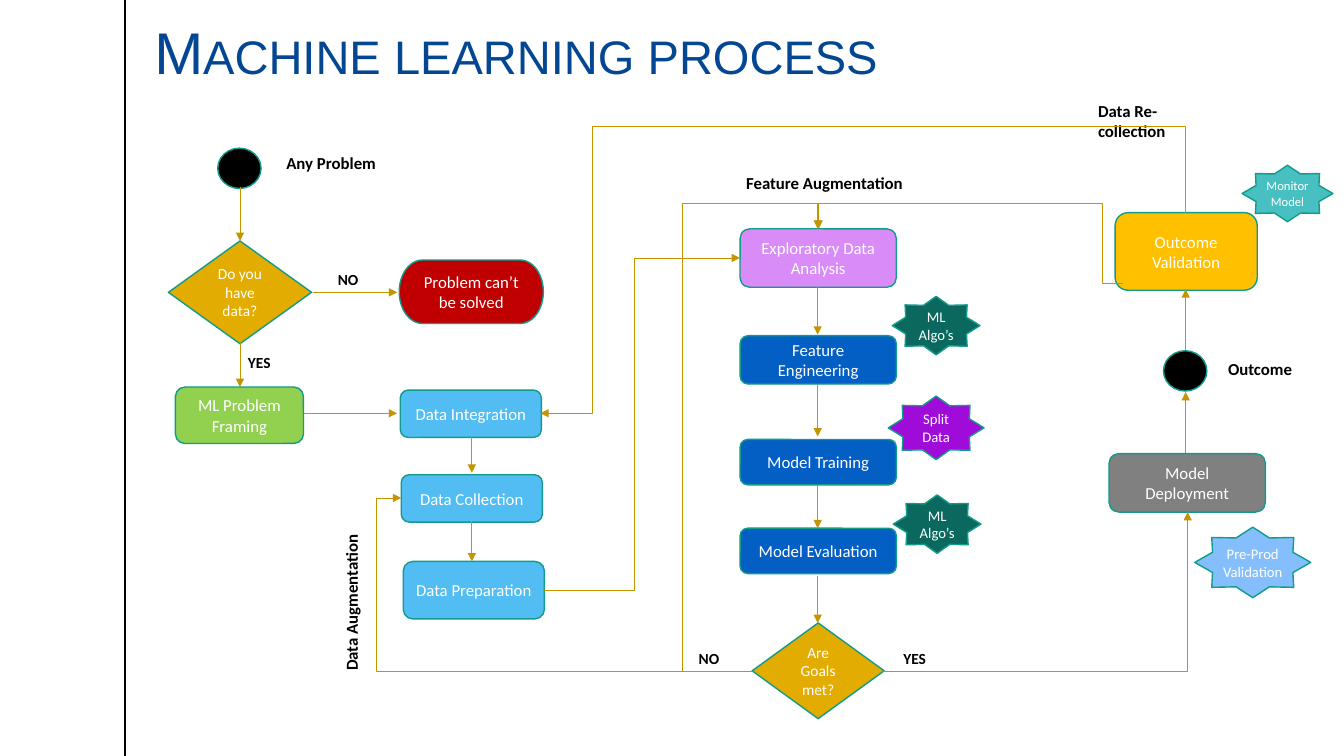
from dataclasses import dataclass

from lxml import etree
from pptx import Presentation
from pptx.dml.color import RGBColor
from pptx.enum import shapes, text
from pptx.oxml import ns
from pptx.util import Inches, Pt

KIND = shapes.MSO_SHAPE
BOX, STAR = KIND.ROUNDED_RECTANGLE, KIND.STAR_8_POINT
DECISION, DOT = KIND.FLOWCHART_DECISION, KIND.FLOWCHART_CONNECTOR


@dataclass(frozen=True)
class Theme:
    title: str = "034793"
    ink: str = "000000"
    white: str = "FFFFFF"
    outline: str = "109B8A"
    arrow: str = "C49500"
    gold: str = "E2AC00"
    red: str = "C00000"
    green: str = "92D050"
    sky: str = "51BDF3"
    blue: str = "045FC4"
    lilac: str = "D98BF8"
    grey: str = "808080"
    amber: str = "FFC000"
    teal: str = "0B685E"
    purple: str = "9F0CD9"
    pale_blue: str = "85BEFD"
    aqua: str = "48BFC1"
    heading_font: str = "Arial"
    body_font: str = "Calibri"
    title_size: float = 42
    body_size: float = 12
    small_size: float = 11
    star_size: float = 10.5
    tiny_size: float = 9


T = Theme()


def rgb(value):
    return RGBColor.from_string(value)


def add_run(p, words, size, color, font=T.body_font, bold=False):
    r = p.add_run()
    r.text = words
    r.font.size, r.font.name, r.font.bold = Pt(size), font, bold
    r.font.color.rgb = rgb(color)
    return r


def add_line(s, kind, start, end, color, width):
    line = s.shapes.add_connector(kind, *map(Inches, (*start, *end)))
    line.line.color.rgb = rgb(color)
    line.line.width = Pt(width)
    etree.SubElement(line._element.spPr, ns.qn("a:effectLst"))
    return line


def add_head(line, end="tailEnd"):
    etree.SubElement(line.line._get_or_add_ln(), ns.qn("a:" + end), type="triangle")


@dataclass
class Region:
    """Draws parts at inch offsets from the corner of its box."""
    s: object
    left: float
    top: float

    def at(self, x, y):
        return self.left + x, self.top + y

    def node(self, kind, x, y, w, h, fill, words="", size=T.body_size):
        sp = self.s.shapes.add_shape(kind, *map(Inches, (*self.at(x, y), w, h)))
        sp.shadow.inherit = False
        sp.fill.solid()
        sp.fill.fore_color.rgb = rgb(fill)
        sp.line.color.rgb = rgb(T.outline)
        sp.line.width = Pt(1)
        tf = sp.text_frame
        tf.word_wrap = True
        tf.vertical_anchor = text.MSO_ANCHOR.MIDDLE
        for i, part in enumerate(words.split("\n") if words else []):
            p = tf.add_paragraph() if i else tf.paragraphs[0]
            p.alignment = text.PP_ALIGN.CENTER
            add_run(p, part, size, T.white)

    def label(self, x, y, w, words, size=T.body_size, h=0.47, rotation=0):
        sp = self.s.shapes.add_textbox(*map(Inches, (*self.at(x, y), w, h)))
        sp.rotation = rotation
        tf = sp.text_frame
        tf.word_wrap = True
        tf.margin_left = tf.margin_right = 0
        p = tf.paragraphs[0]
        p.space_before = Pt(10)
        add_run(p, words, size, T.ink, bold=True)

    def arrow(self, start, end):
        add_head(add_line(self.s, shapes.MSO_CONNECTOR.STRAIGHT,
                          self.at(*start), self.at(*end), T.arrow, 0.5))

    def down(self, x, *spans):
        for y1, y2 in spans:
            self.arrow((x, y1), (x, y2))

    def elbow(self, start, end, *bends, head="tailEnd"):
        """Leave sideways, turning at bends: an x, then optionally a y."""
        line = add_line(self.s, shapes.MSO_CONNECTOR.ELBOW,
                        self.at(*start), self.at(*end), T.arrow, 0.5)
        add_head(line, head)
        geom = line._element.spPr.find(ns.qn("a:prstGeom"))
        geom.set("prst", f"bentConnector{2 + len(bends)}")
        guides = geom.find(ns.qn("a:avLst"))
        for i, (bend, a, b) in enumerate(zip(bends, start, end), 1):
            share = round((bend - a) / (b - a) * 100000)
            etree.SubElement(guides, ns.qn("a:gd"), name=f"adj{i}", fmla=f"val {share}")


def frame(s, x, y, w, h):
    """Title and the vertical rule to its left."""
    add_line(s, shapes.MSO_CONNECTOR.STRAIGHT, (1.24, 0), (1.24, 7.5), T.ink, 1.5)
    title = s.shapes.title
    title.left, title.top, title.width, title.height = map(Inches, (x, y, w, h))
    tf = title.text_frame
    tf.word_wrap = True
    tf.auto_size = text.MSO_AUTO_SIZE.NONE
    tf.margin_left = tf.margin_right = 0
    tf.vertical_anchor = text.MSO_ANCHOR.BOTTOM
    p = tf.paragraphs[0]
    p.alignment = text.PP_ALIGN.LEFT
    p.line_spacing = 0.9
    r = add_run(p, "Machine learning process", T.title_size, T.title, T.heading_font)
    r.font._element.set("cap", "small")


def problem_region(s, left, top):
    g = Region(s, left, top)
    g.label(1.17, 0, 1.66, "Any Problem")
    g.node(DOT, 0.49, 0, 0.43, 0.4, T.ink)
    g.node(DECISION, 0, 0.92, 1.42, 1.02, T.gold, "Do you have data?", T.small_size)
    g.node(KIND.FLOWCHART_TERMINATOR, 2.29, 1.11, 1.43, 0.63, T.red,
           "Problem can’t be solved")
    g.node(BOX, 0.07, 2.37, 1.27, 0.56, T.green, "ML Problem Framing")
    g.down(0.71, (0.39, 0.92), (1.93, 2.37))
    g.arrow((1.43, 1.43), (2.27, 1.43))
    g.arrow((1.35, 2.63), (2.27, 2.63))
    g.label(0.79, 1.98, 0.53, "YES", T.small_size)
    g.label(1.68, 1.16, 0.39, "NO", T.small_size)


def data_region(s, left, top):
    g = Region(s, left, top)
    g.node(BOX, 0, 0, 1.4, 0.47, T.sky, "Data Integration")
    g.node(BOX, 0.01, 0.84, 1.4, 0.47, T.sky, "Data Collection")
    g.node(BOX, 0.03, 1.7, 1.4, 0.57, T.sky, "Data Preparation")
    g.down(0.71, (0.46, 0.82), (1.3, 1.7))
    g.label(-1.23, 1.72, 1.66, "Data Augmentation", rotation=270)


def model_region(s, left, top):
    g = Region(s, left, top)
    g.label(0.06, 0, 1.78, "Feature Augmentation")
    for y, h, fill, words in ((0.61, 0.58, T.lilac, "Exploratory Data Analysis"),
                              (1.67, 0.48, T.blue, "Feature Engineering"),
                              (2.7, 0.45, T.blue, "Model Training"),
                              (3.58, 0.45, T.blue, "Model Evaluation")):
        g.node(BOX, 0, y, 1.55, h, fill, words)
    g.node(DECISION, 0.12, 4.52, 1.31, 0.95, T.gold, "Are Goals met?", T.small_size)
    g.down(0.77, (1.19, 1.66), (2.15, 2.67), (3.15, 3.58), (4.05, 4.52))
    g.label(-0.41, 4.73, 0.39, "NO", T.small_size)
    g.label(1.62, 4.73, 0.53, "YES", T.small_size)
    for x, y, w, h, fill, words in ((1.51, 1.28, 0.87, 0.58, T.teal, "ML Algo’s"),
                                    (1.47, 2.27, 0.95, 0.63, T.purple, "Split\nData"),
                                    (1.52, 3.25, 0.87, 0.58, T.teal, "ML Algo’s")):
        g.node(STAR, x, y, w, h, fill, words, T.star_size)


def outcome_region(s, left, top):
    g = Region(s, left, top)
    g.node(BOX, 0.11, 3.55, 1.55, 0.58, T.grey, "Model Deployment")
    g.node(DOT, 0.65, 2.53, 0.43, 0.4, T.ink)
    g.label(1.29, 2.56, 0.9, "Outcome")
    g.node(BOX, 0.17, 1.16, 1.41, 0.77, T.amber, "Outcome Validation")
    g.down(0.87, (3.54, 2.94), (2.52, 1.92))
    g.label(0, 0, 1.22, "Data Re-collection", h=0.38)
    g.node(STAR, 0.96, 4.28, 1.15, 0.7, T.pale_blue, "Pre-Prod\nValidation", T.star_size)
    g.node(STAR, 1.43, 0.69, 0.9, 0.56, T.aqua, "Monitor\nModel", T.tiny_size)


def feedback_links(s, left, top):
    """Routes that run between the regions."""
    g = Region(s, left, top)
    g.elbow((5.4, 5.86), (7.34, 2.56), 6.29)
    g.elbow((8.76, 6.66), (11.78, 5.08))
    g.elbow((7.46, 6.66), (3.98, 4.94), 3.73)
    g.elbow((7.46, 6.66), (8.11, 2.27), 6.77, 2.02)
    g.elbow((11.14, 2.81), (8.12, 2.27), 10.93, 2.02)
    g.elbow((5.36, 4.1), (11.76, 2.11), 5.87, 1.25, head="headEnd")


def main():
    prs = Presentation()
    prs.slide_width, prs.slide_height = Inches(13.33), Inches(7.5)
    s = prs.slides.add_slide(prs.slide_layouts[5])
    frame(s, 1.53, 0.16, 11.08, 0.76)
    problem_region(s, 1.67, 1.47)
    data_region(s, 3.97, 3.87)
    model_region(s, 7.34, 1.66)
    outcome_region(s, 10.89, 0.95)
    feedback_links(s, 0, 0)
    prs.save("out.pptx")


if __name__ == "__main__":
    main()
